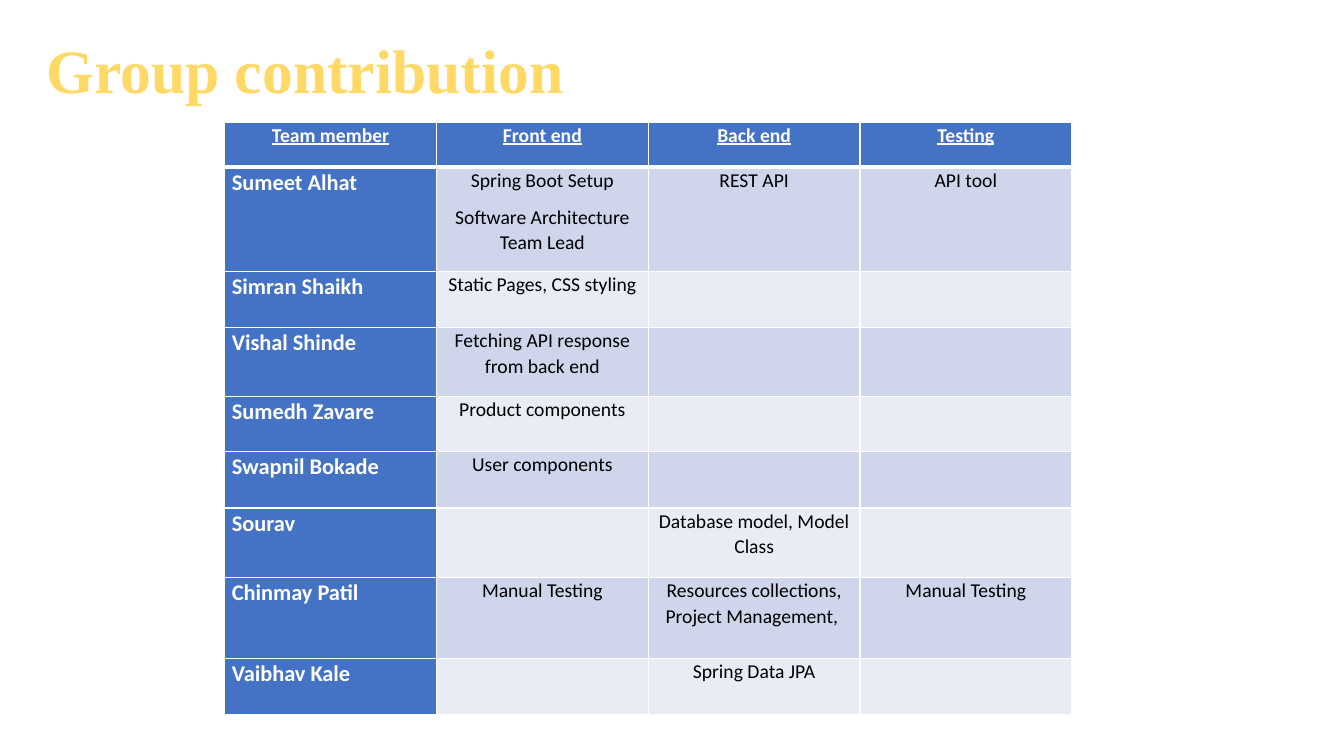
from lxml.etree import SubElement
from pptx import Presentation
from pptx.dml.color import RGBColor
from pptx.enum.text import MSO_ANCHOR, PP_ALIGN
from pptx.oxml.ns import qn
from pptx.util import Inches, Pt

TITLE = "Group contribution"
HEADINGS = ("Team member", "Front end", "Back end", "Testing")
# A cell is one string; "\n" starts a paragraph and "\v" breaks a line.
MEMBERS = [
    ("Sumeet Alhat", "Spring Boot Setup\nSoftware Architecture\vTeam Lead", "REST API", "API tool"),
    ("Simran Shaikh", "Static Pages, CSS styling", "", ""),
    ("Vishal Shinde", "Fetching API response from back end", "", ""),
    ("Sumedh Zavare", "Product components", "", ""),
    ("Swapnil Bokade", "User components", "", ""),
    ("Sourav", "", "Database model, Model Class", ""),
    ("Chinmay Patil", "Manual Testing", "Resources collections, Project Management, ", "Manual Testing"),
    ("Vaibhav Kale", "", "Spring Data JPA", ""),
]
COLUMN_WIDTH = 2.1
ROW_HEIGHTS = (0.45, 1.03, 0.56, 0.68, 0.55, 0.56, 0.69, 0.8, 0.56)
COLORS = {"title": "FFD966", "head": "4472C4", "odd": "CFD5EA", "even": "E9EBF5",
          "light": "FFFFFF", "dark": "000000"}


def color(name):
    return RGBColor.from_string(COLORS[name])


def add_run(paragraph, text, font_name, size, color_name, bold, underline=None):
    run = paragraph.add_run()
    run.text = text
    run.font.name, run.font.size = font_name, Pt(size)
    run.font.bold, run.font.underline = bold, underline
    run.font.color.rgb = color(color_name)


def set_borders(cell, bottom):
    properties = cell._tc.get_or_add_tcPr()
    widths = {"a:lnL": 1, "a:lnR": 1, "a:lnT": 1, "a:lnB": bottom}
    for position, (tag, width) in enumerate(widths.items()):
        line = SubElement(properties, qn(tag), w=str(Pt(width)))
        SubElement(SubElement(line, qn("a:solidFill")), qn("a:srgbClr"), val=COLORS["light"])
        properties.insert(position, line)


def fill_cell(cell, text, row, column):
    is_heading, is_name = row == 0, column == 0
    on_blue = is_heading or is_name
    cell.margin_left = cell.margin_right = Inches(0.07)
    cell.margin_top = cell.margin_bottom = 0
    cell.fill.solid()
    cell.fill.fore_color.rgb = color("head" if on_blue else "odd" if row % 2 else "even")
    set_borders(cell, bottom=3 if is_heading else 1)
    if not text:
        return
    for index, block in enumerate(text.split("\n")):
        paragraph = cell.text_frame.add_paragraph() if index else cell.text_frame.paragraphs[0]
        paragraph.alignment = PP_ALIGN.LEFT if is_name and not is_heading else PP_ALIGN.CENTER
        paragraph.line_spacing = 1.07
        paragraph.space_after = Pt(8)
        for line_index, line in enumerate(block.split("\v")):
            if line_index:
                paragraph.add_line_break()
            add_run(paragraph, line, "Calibri", 16 if is_name and not is_heading else 14,
                    "light" if on_blue else "dark", on_blue, is_heading)


def add_title(slide):
    box = slide.shapes.add_textbox(Inches(0.36), 0, Inches(11.5), Inches(1.45))
    frame = box.text_frame
    frame.word_wrap = True
    frame.vertical_anchor = MSO_ANCHOR.MIDDLE
    frame.paragraphs[0].line_spacing = 0.9
    add_run(frame.paragraphs[0], TITLE, "Times New Roman", 44, "title", True)


def add_contributions(slide):
    rows = [HEADINGS, *MEMBERS]
    table = slide.shapes.add_table(
        len(rows), len(HEADINGS), Inches(2.23), Inches(1.21),
        Inches(COLUMN_WIDTH * len(HEADINGS)), Inches(sum(ROW_HEIGHTS))).table
    for column in table.columns:
        column.width = Inches(COLUMN_WIDTH)
    for row, (texts, height) in enumerate(zip(rows, ROW_HEIGHTS)):
        table.rows[row].height = Inches(height)
        for column, text in enumerate(texts):
            fill_cell(table.cell(row, column), text, row, column)


def main():
    deck = Presentation()
    deck.slide_width, deck.slide_height = Inches(13.33), Inches(7.5)
    slide = deck.slides.add_slide(deck.slide_layouts[6])
    add_title(slide)
    add_contributions(slide)
    deck.save("out.pptx")


if __name__ == "__main__":
    main()
